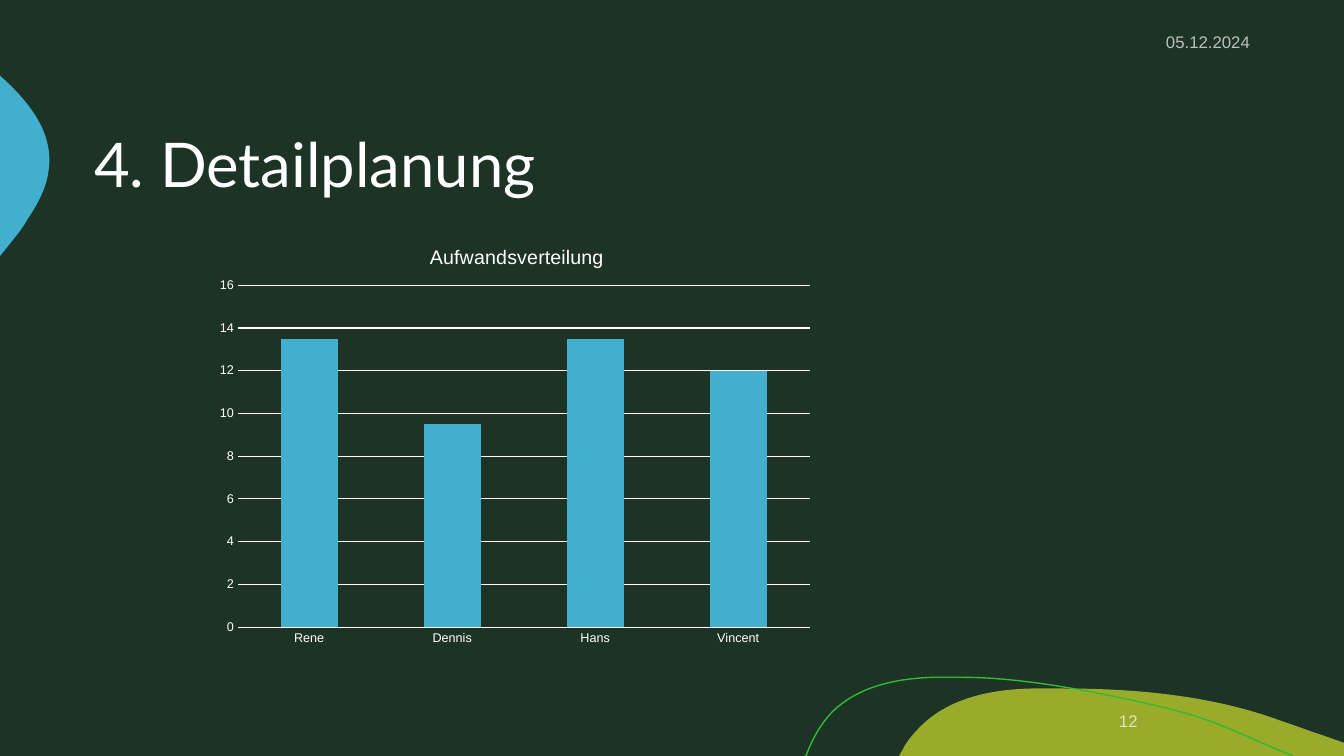
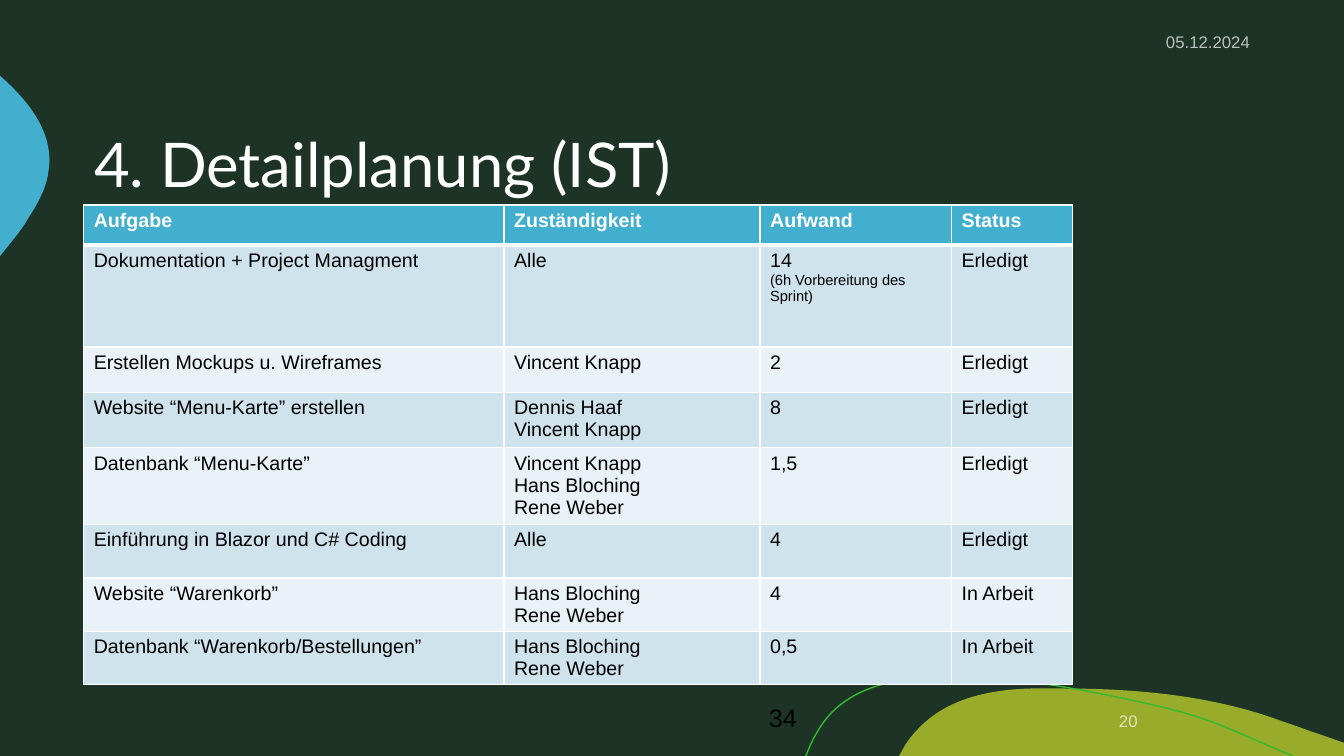
from dataclasses import dataclass

from lxml import etree
from pptx import Presentation
from pptx.chart.data import CategoryChartData
from pptx.dml.color import RGBColor
from pptx.enum.chart import XL_CHART_TYPE, XL_TICK_MARK
from pptx.enum.text import MSO_ANCHOR, PP_ALIGN
from pptx.oxml import parse_xml
from pptx.oxml.ns import nsdecls, qn
from pptx.util import Pt

LEFT, RIGHT = PP_ALIGN.LEFT, PP_ALIGN.RIGHT
TOP, MIDDLE = MSO_ANCHOR.TOP, MSO_ANCHOR.MIDDLE
STACKED = XL_CHART_TYPE.COLUMN_STACKED
NO_TICK = XL_TICK_MARK.NONE

COLORS = {
    "bg": "1D3326", "white": "FFFFFF", "black": "000000",
    "blue": "42AFCE", "olive": "99AB2B", "green": "33BA2F",
    "band_dark": "CFE3ED", "band_light": "E9F2F6",
}
HEAD_FONT, BODY_FONT = "Lato", "Arial"
DATE = "05.12.2024"


@dataclass(frozen=True)
class Wave:
    """Outline in points: each segment is a line end (2) or a cubic curve (6)."""
    start: tuple
    segments: tuple
    fill: str = ""
    line: str = ""


@dataclass(frozen=True)
class Task:
    name: str
    people: tuple
    effort: str
    status: str = "Erledigt"
    height: float = 38.2
    note: str = ""


WAVES = (
    Wave((758.9, 491.8), (
        (812.2, 491.8, 866.9, 496.8, 916.6, 515.5),
        (925.9, 518.4, 934.6, 522, 943.9, 524.9),
        (960, 530.6), (960, 540), (642.2, 540), (646.6, 532.1),
        (649.4, 527.8, 652.3, 524.2, 655.9, 520.6),
        (676.1, 499, 707, 492.5, 736.6, 491.8),
        (743.8, 491.8, 751, 491.8, 758.9, 491.8)), fill="olive"),
    Wave((0, 54), (
        (0.7, 54.7), (21.6, 73.4, 38.9, 95.8, 34.6, 122.4),
        (33.1, 134.6, 26.6, 146.2, 19.4, 157),
        (17.3, 161.3, 12.2, 167.8, 5.8, 175.7), (0, 182.9)), fill="blue"),
    Wave((575.3, 540), (
        (576, 539.3), (580.3, 527.8, 586.1, 517.7, 593.3, 509.8),
        (612, 490.3, 640.1, 484.6, 666.7, 483.8), (687.6, 483.8),
        (734.4, 483.8, 792, 496.1, 831.6, 505.4),
        (870.5, 514.8, 882.7, 523.4, 923.8, 540)), line="green"),
)

EFFORT = {"Rene": 13.5, "Dennis": 9.5, "Hans": 13.5, "Vincent": 12}

HEADER = ("Aufgabe", "Zuständigkeit", "Aufwand", "Status")
COL_WIDTHS = (300.2, 182.9, 136.8, 86.4)
HEADER_HEIGHT = 28.8
VINCENT, HANS, RENE = "Vincent Knapp", "Hans Bloching", "Rene Weber"
TASKS = (
    Task("Dokumentation + Project Managment", ("Alle",), "14", height=72.7,
         note="(6h Vorbereitung des Sprint)"),
    Task("Erstellen Mockups u. Wireframes", (VINCENT,), "2", height=32.4),
    Task("Website “Menu-Karte” erstellen", ("Dennis Haaf", VINCENT), "8",
         height=39.6),
    Task("Datenbank “Menu-Karte”", (VINCENT, HANS, RENE), "1,5", height=49.7),
    Task("Einführung in Blazor und C# Coding", ("Alle",), "4"),
    Task("Website “Warenkorb”", (HANS, RENE), "4", "In Arbeit"),
    Task("Datenbank “Warenkorb/Bestellungen”", (HANS, RENE), "0,5",
         "In Arbeit", 35.3),
)


def rgb(name: str) -> RGBColor:
    return RGBColor.from_string(COLORS[name])


def style_font(font, size: float, color: str = "white") -> None:
    font.name, font.size = BODY_FONT, Pt(size)
    font.color.rgb = rgb(color)


def write(p, text: str, *, size: float = 14, color: str = "white",
          font: str = BODY_FONT, bold: bool = False, align=LEFT,
          alpha: int = 100) -> None:
    p.alignment = align
    r = p.add_run()
    r.text = text
    style_font(r.font, size, color)
    r.font.name, r.font.bold = font, bold
    if alpha < 100:
        clr = r._r.find(".//" + qn("a:srgbClr"))
        etree.SubElement(clr, qn("a:alpha"), val=str(alpha * 1000))


def add_text(s, box: tuple, text: str, *, anchor=MIDDLE, **fmt) -> None:
    tf = s.shapes.add_textbox(*map(Pt, box)).text_frame
    tf.word_wrap, tf.vertical_anchor = True, anchor
    write(tf.paragraphs[0], text, **fmt)


# Shared frame: waves on the master; title, date and page number per slide
def bend_segments(sp, wave: Wave) -> None:
    """Turn the straight segments that have control points into curves."""
    lines = list(sp._element.iter(qn("a:lnTo")))
    for ln, seg in zip(lines, wave.segments):
        if len(seg) == 2:
            continue
        curve = etree.Element(qn("a:cubicBezTo"))
        for x, y in zip(seg[::2], seg[1::2]):
            etree.SubElement(curve, qn("a:pt"), x=str(Pt(x) - sp.left),
                             y=str(Pt(y) - sp.top))
        ln.getparent().replace(ln, curve)


def add_wave(s, wave: Wave):
    fb = s.shapes.build_freeform(*map(Pt, wave.start))
    ends = [tuple(map(Pt, seg[-2:])) for seg in wave.segments]
    fb.add_line_segments(ends, close=bool(wave.fill))
    sp = fb.convert_to_shape()
    bend_segments(sp, wave)
    sp.shadow.inherit = False
    if wave.fill:
        sp.fill.solid()
        sp.fill.fore_color.rgb = rgb(wave.fill)
        sp.line.fill.background()
    else:
        sp.fill.background()
        sp.line.color.rgb = rgb(wave.line)
        sp.line.width = Pt(1)
    return sp


def decorate_master(prs, s) -> None:
    """Build the waves on a slide and hand them over to the master."""
    tree = prs.slide_master.shapes._spTree
    for i, wave in enumerate(WAVES):
        tree.insert(2 + i, add_wave(s, wave)._element)


def add_slide(prs, layout, title: str, number: int):
    s = prs.slides.add_slide(layout)
    tf = s.shapes.title.text_frame
    tf.vertical_anchor = MIDDLE
    p = tf.paragraphs[0]
    p.line_spacing = 0.9
    write(p, title, size=44, font=HEAD_FONT)
    small = dict(size=12, align=RIGHT, alpha=70)
    add_text(s, (739.4, 15.5, 160.6, 28.8), DATE, **small)
    add_text(s, (699.5, 500.4, 120.2, 28.8), str(number), **small)
    return s


# Effort chart
def add_effort_chart(s) -> None:
    data = CategoryChartData()
    data.categories = list(EFFORT)
    data.add_series("Series 1", list(EFFORT.values()))
    chart = s.shapes.add_chart(STACKED, Pt(146.7), Pt(161.8), Pt(445),
                               Pt(304.4), data).chart
    style_font(chart.font, 10)
    chart.has_legend = False
    chart.has_title = True
    write(chart.chart_title.text_frame.paragraphs[0], "Aufwandsverteilung")
    chart.chart_title.include_in_layout = False

    plot = chart.plots[0]
    plot.gap_width, plot.overlap, plot.vary_by_categories = 150, 100, False
    fill = plot.series[0].format.fill
    fill.solid()
    fill.fore_color.rgb = rgb("blue")

    cat, val = chart.category_axis, chart.value_axis
    val.minimum_scale, val.maximum_scale, val.major_unit = 0, 16, 2
    for axis in (cat, val):
        axis.major_tick_mark = axis.minor_tick_mark = NO_TICK
        style_font(axis.tick_labels.font, 9)
    for line in (cat.format.line, val.major_gridlines.format.line):
        line.color.rgb = rgb("white")
        line.width = Pt(0.75)
    val.format.line.fill.background()

    # Fixed inner plot area
    area = chart._chartSpace.find(".//" + qn("c:plotArea"))
    for old in area.findall(qn("c:layout")):
        area.remove(old)
    values = (("layoutTarget", "inner"), ("xMode", "edge"), ("yMode", "edge"),
              ("x", 0.052), ("y", 0.138), ("w", 0.918), ("h", 0.802))
    items = "".join(f'<c:{tag} val="{v}"/>' for tag, v in values)
    area.insert(0, parse_xml(f'<c:layout {nsdecls("c")}><c:manualLayout>'
                             f'{items}</c:manualLayout></c:layout>'))


# Task table
def set_borders(cell, top: float, bottom: float) -> None:
    tc_pr = cell._tc.get_or_add_tcPr()
    for side, width in (("L", 1), ("R", 1), ("T", top), ("B", bottom)):
        ln = etree.SubElement(tc_pr, qn(f"a:ln{side}"), w=str(Pt(width)))
        fill = etree.SubElement(ln, qn("a:solidFill"))
        etree.SubElement(fill, qn("a:srgbClr"), val=COLORS["white"])


def fill_cell(cell, lines: tuple, fill: str, *, top: float = 1,
              bottom: float = 1, note: str = "", **fmt) -> None:
    set_borders(cell, top, bottom)
    cell.margin_top, cell.margin_bottom = Pt(3.2), Pt(1.2)
    cell.fill.solid()
    cell.fill.fore_color.rgb = rgb(fill)
    tf = cell.text_frame
    for i, text in enumerate(lines):
        write(tf.add_paragraph() if i else tf.paragraphs[0], text, **fmt)
    if note:
        write(tf.add_paragraph(), note, **{**fmt, "size": 10.5})


def add_task_table(s) -> None:
    heights = [HEADER_HEIGHT] + [t.height for t in TASKS]
    table = s.shapes.add_table(len(heights), len(HEADER), Pt(59.8), Pt(146.4),
                               Pt(sum(COL_WIDTHS)), Pt(sum(heights))).table
    table.horz_banding = False
    for col, width in zip(table.columns, COL_WIDTHS):
        col.width = Pt(width)
    for row, height in zip(table.rows, heights):
        row.height = Pt(height)
    for j, text in enumerate(HEADER):
        fill_cell(table.cell(0, j), (text,), "blue", bottom=3, bold=True)
    for i, task in enumerate(TASKS, 1):
        band = "band_dark" if i % 2 else "band_light"
        cells = ((task.name,), task.people, (task.effort,), (task.status,))
        for j, lines in enumerate(cells):
            fill_cell(table.cell(i, j), lines, band, top=3 if i == 1 else 1,
                      note=task.note if j == 2 else "", color="black")


def main() -> None:
    prs = Presentation()
    prs.slide_width, prs.slide_height = Pt(960), Pt(540)
    bg = prs.slide_master.background.fill
    bg.solid()
    bg.fore_color.rgb = rgb("bg")
    layout = prs.slide_layouts[5]
    ph = layout.placeholders.get(0)
    ph.left, ph.top, ph.width, ph.height = map(Pt, (60, 60, 840, 120))

    # Planned effort
    s = add_slide(prs, layout, "4. Detailplanung", 12)
    decorate_master(prs, s)
    add_effort_chart(s)

    # Actual effort, with its total below the table
    s = add_slide(prs, layout, "4. Detailplanung (IST)", 20)
    add_task_table(s)
    add_text(s, (542.2, 498.2, 120.2, 28.8), "34", anchor=TOP, size=18,
             color="black")
    prs.save("out.pptx")


if __name__ == "__main__":
    main()
